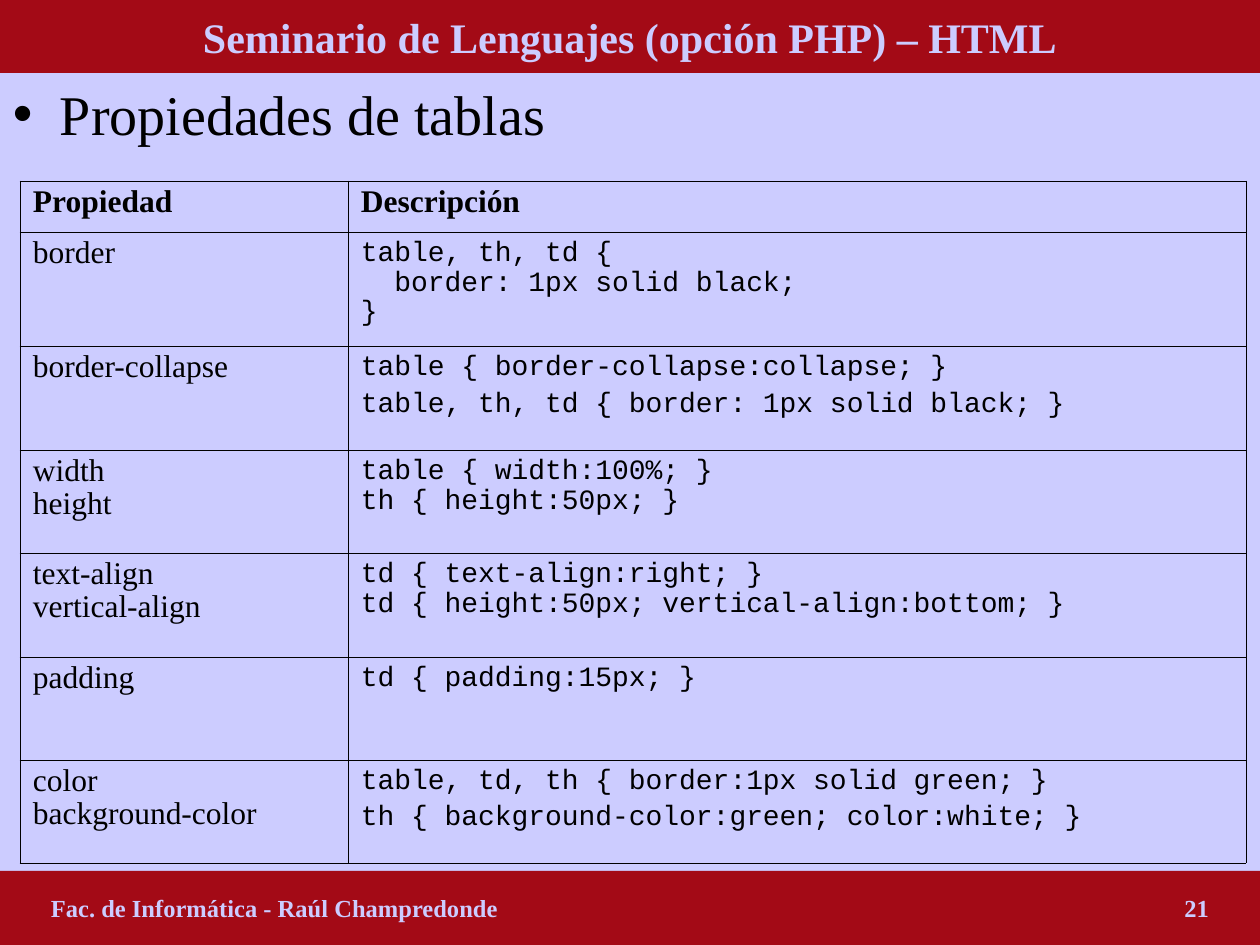
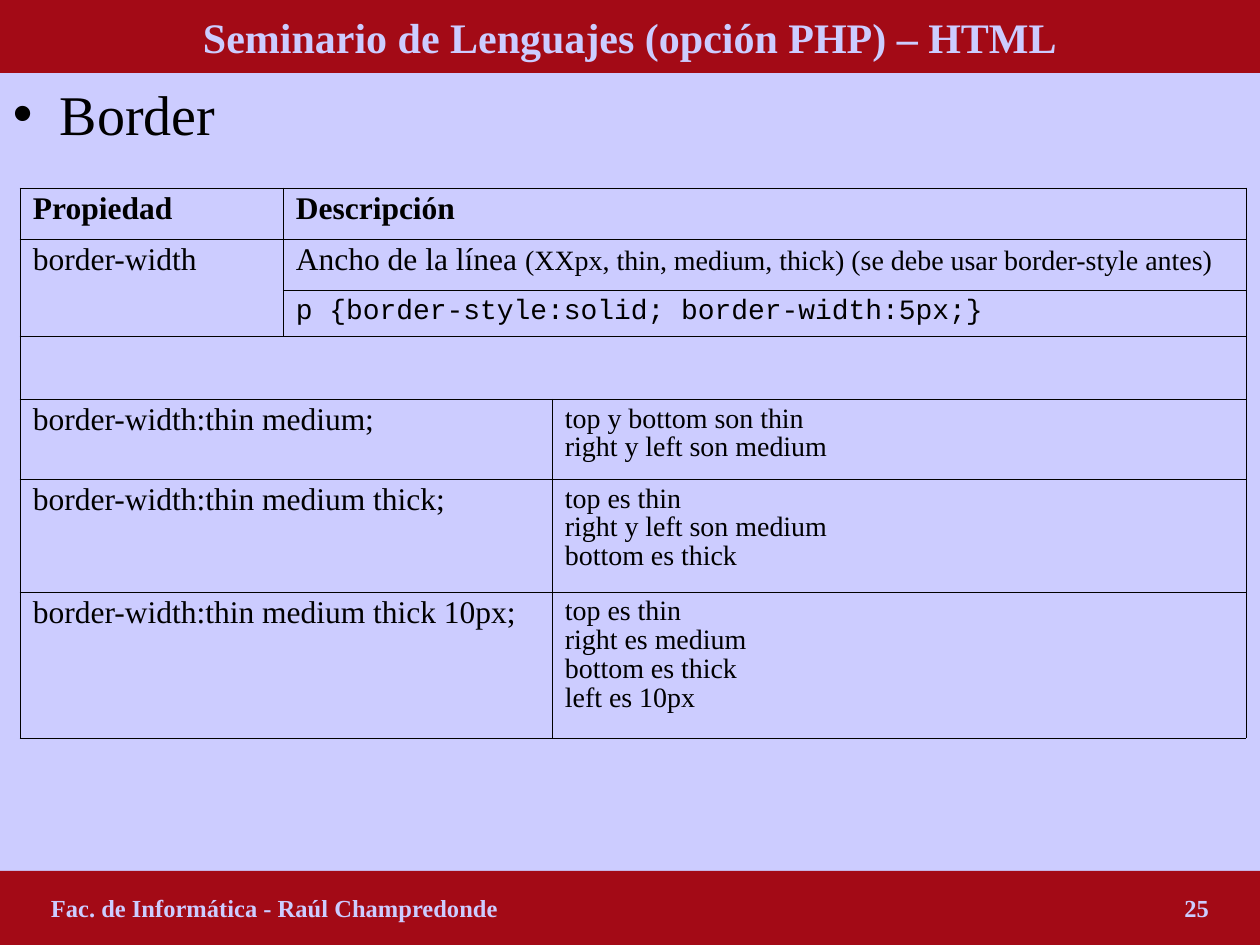
"""Build two slides on HTML table and border properties."""
from copy import deepcopy
from typing import NamedTuple

from lxml import etree
from pptx import Presentation
from pptx.dml.color import RGBColor
from pptx.enum.shapes import MSO_SHAPE
from pptx.enum.text import MSO_ANCHOR, MSO_AUTO_SIZE, PP_ALIGN
from pptx.oxml.ns import qn
from pptx.util import Emu, Pt

RECTANGLE = MSO_SHAPE.RECTANGLE
MIDDLE, TOP = MSO_ANCHOR.MIDDLE, MSO_ANCHOR.TOP
NO_AUTOFIT = MSO_AUTO_SIZE.NONE
LEFT, CENTER = PP_ALIGN.LEFT, PP_ALIGN.CENTER

LAVENDER = RGBColor(0xCC, 0xCC, 0xFF)
CRIMSON = RGBColor(0xA3, 0x0A, 0x16)
BLACK = RGBColor(0, 0, 0)

PX_PER_INCH = 126
SLIDE_W, SLIDE_H, BAND_H = 1260, 945, 73
TABLE_X = 20
PAD_X, PAD_Y = 13, 6
OUTER_LINE, INNER_LINE = Pt(0.5), Pt(0.23)

COURSE = "Seminario de Lenguajes (opción PHP) – HTML"
AUTHOR = "Fac. de Informática - Raúl Champredonde"


class Style(NamedTuple):
    """Font settings of a run."""
    size: int
    font: str = "Times New Roman"
    bold: bool = False
    color: RGBColor = BLACK
    spacing: float = 0.93


TITLE = Style(24, bold=True, color=LAVENDER)
FOOTER = Style(14, bold=True, color=LAVENDER)
TOPIC = Style(32)
HEAD = Style(18, bold=True)
LABEL = Style(18)
NOTE = Style(16)
CODE = Style(16, "Courier New", spacing=0.94)


def px(n):
    """Turn pixels into EMU."""
    return Emu(round(n * 914400 / PX_PER_INCH))


def place(sp, x, y, w, h):
    """Move and size a shape."""
    sp.left, sp.top, sp.width, sp.height = px(x), px(y), px(w), px(h)


def add_run(p, text, style):
    """Add one styled run to a paragraph."""
    r = p.add_run()
    r.text = text
    r.font.name, r.font.size, r.font.bold = style.font, Pt(style.size), style.bold
    r.font.color.rgb = style.color
    return r


def add_lines(p, text, style):
    """Add text whose lines are parted by soft breaks."""
    first, *rest = text.split("\n")
    r = add_run(p, first, style)
    for line in rest:
        p.add_line_break()
        p._p[-1].append(deepcopy(r._r.rPr))
        add_run(p, line, style)


def set_frame(tf, anchor):
    """Give a text frame its insets, wrapping and anchor."""
    tf.margin_left = tf.margin_right = px(PAD_X)
    tf.margin_top = tf.margin_bottom = px(PAD_Y)
    tf.word_wrap = True
    tf.auto_size = NO_AUTOFIT
    tf.vertical_anchor = anchor


def paint_band(sp):
    """Fill a shape as a band without outline."""
    sp.fill.solid()
    sp.fill.fore_color.rgb = CRIMSON
    sp.line.fill.background()


def add_title(slide):
    """Set the course name in the top band."""
    sp = slide.shapes.title
    place(sp, 0, 0, SLIDE_W, BAND_H)
    paint_band(sp)
    set_frame(sp.text_frame, MIDDLE)
    p = sp.text_frame.paragraphs[0]
    p.alignment = CENTER
    add_run(p, COURSE, TITLE)


def add_topic(slide, topic):
    """Set the bulleted topic in the body placeholder."""
    sp = slide.placeholders[1]
    place(sp, 0, BAND_H, SLIDE_W, SLIDE_H - 2 * BAND_H)
    set_frame(sp.text_frame, TOP)
    p = sp.text_frame.paragraphs[0]
    p.space_before = Pt(0)
    pPr = p._p.get_or_add_pPr()
    pPr.set("marL", str(px(47)))
    pPr.set("indent", str(-px(47)))
    add_run(p, topic, TOPIC)


def add_footer(slide, number):
    """Add the bottom band with author and page number."""
    margin = 51
    sp = slide.shapes.add_shape(RECTANGLE, px(0), px(SLIDE_H - BAND_H - 1),
                                px(SLIDE_W), px(BAND_H + 1))
    sp.shadow.inherit = False
    paint_band(sp)
    tf = sp.text_frame
    set_frame(tf, MIDDLE)
    tf.margin_left = tf.margin_right = px(margin)
    p = tf.paragraphs[0]
    p.alignment = LEFT
    tabs = etree.SubElement(p._p.get_or_add_pPr(), qn("a:tabLst"))
    etree.SubElement(tabs, qn("a:tab"), pos=str(px(SLIDE_W - 2 * margin)), algn="r")
    add_run(p, f"{AUTHOR}\t{number}", FOOTER)


def set_borders(cell, outer):
    """Draw the four cell borders, thicker on the table's edge."""
    tcPr = cell._tc.get_or_add_tcPr()
    for side in "LRTB":
        width = OUTER_LINE if side in outer else INNER_LINE
        ln = etree.SubElement(tcPr, qn(f"a:ln{side}"), w=str(width))
        fill = etree.SubElement(ln, qn("a:solidFill"))
        etree.SubElement(fill, qn("a:srgbClr"), val=str(BLACK))


def fill_cell(cell, paragraphs):
    """Write paragraphs of (text, style) runs into a cell."""
    tf = cell.text_frame
    for i, runs in enumerate(paragraphs):
        p = tf.add_paragraph() if i else tf.paragraphs[0]
        p.line_spacing = runs[0][1].spacing
        p.space_before = Pt(4 if i else 0)
        for text, style in runs:
            add_lines(p, text, style)


def add_table(slide, y, widths, heights, rows, merges=()):
    """Add a ruled table; merges are (row, column, last row, last column)."""
    n_rows, n_cols = len(heights), len(widths)
    frame = slide.shapes.add_table(n_rows, n_cols, px(TABLE_X), px(y),
                                   px(sum(widths)), px(sum(heights)))
    table = frame.table
    table.first_row = table.horz_banding = False
    for column, w in zip(table.columns, widths):
        column.width = px(w)
    for row, h in zip(table.rows, heights):
        row.height = px(h)
    for r1, c1, r2, c2 in merges:
        table.cell(r1, c1).merge(table.cell(r2, c2))
    for i in range(n_rows):
        for j in range(n_cols):
            cell = table.cell(i, j)
            edges = {"L": j == 0, "R": j + cell.span_width == n_cols,
                     "T": i == 0, "B": i + cell.span_height == n_rows}
            set_borders(cell, [side for side, on in edges.items() if on])
            cell.fill.background()
            cell.margin_left = cell.margin_right = px(PAD_X)
            cell.margin_top = cell.margin_bottom = px(PAD_Y)
    for i, contents in enumerate(rows):
        for j, paragraphs in contents.items():
            fill_cell(table.cell(i, j), paragraphs)


def styled(style, *texts):
    """Return one single-run paragraph per text."""
    return [[(text, style)] for text in texts]


def pair(label, *texts, style=CODE, column=1):
    """Return a row with a label and its description."""
    return {0: styled(LABEL, label), column: styled(style, *texts)}


HEADER = {0: styled(HEAD, "Propiedad"), 1: styled(HEAD, "Descripción")}

TABLE_ROWS = [
    HEADER,
    pair("border", "table, th, td {\n  border: 1px solid black;\n}"),
    pair("border-collapse", "table { border-collapse:collapse; }",
         "table, th, td { border: 1px solid black; }"),
    pair("width\nheight", "table { width:100%; }\nth { height:50px; }"),
    pair("text-align\nvertical-align",
         "td { text-align:right; }\ntd { height:50px; vertical-align:bottom; }"),
    pair("padding", "td { padding:15px; }"),
    pair("color\nbackground-color", "table, td, th { border:1px solid green; }",
         "th { background-color:green; color:white; }"),
]

BORDER_ROWS = [
    HEADER,
    {0: styled(LABEL, "border-width"),
     1: [[("Ancho de la línea ", LABEL),
          ("(XXpx, thin, medium, thick) (se debe usar border-style antes)", NOTE)]]},
    {1: styled(CODE, "p {border-style:solid; border-width:5px;}")},
    {},
    pair("border-width:thin medium;",
         "top y bottom son thin\nright y left son medium", style=NOTE, column=2),
    pair("border-width:thin medium thick;",
         "top es thin\nright y left son medium\nbottom es thick", style=NOTE, column=2),
    pair("border-width:thin medium thick 10px;",
         "top es thin\nright es medium\nbottom es thick\nleft es 10px",
         style=NOTE, column=2),
]
BORDER_MERGES = [(0, 1, 0, 2), (1, 0, 2, 0), (1, 1, 1, 2), (2, 1, 2, 2), (3, 0, 3, 2),
                 *((row, 0, row, 1) for row in (4, 5, 6))]


def add_slide(prs, topic, number):
    """Add a slide with its title, topic and footer."""
    slide = prs.slides.add_slide(prs.slide_layouts[1])
    add_topic(slide, topic)
    add_title(slide)
    add_footer(slide, number)
    return slide


def main():
    """Build and save the presentation."""
    prs = Presentation()
    prs.slide_width, prs.slide_height = px(SLIDE_W), px(SLIDE_H)
    background = prs.slide_master.background.fill
    background.solid()
    background.fore_color.rgb = LAVENDER

    slide = add_slide(prs, "Propiedades de tablas", 21)
    add_table(slide, 181, [328, 898], [51, 114, 104, 103, 104, 103, 103], TABLE_ROWS)

    slide = add_slide(prs, "Border", 25)
    add_table(slide, 188, [263, 269, 694], [51, 51, 46, 63, 80, 113, 146],
              BORDER_ROWS, BORDER_MERGES)
    prs.save("out.pptx")


if __name__ == "__main__":
    main()
